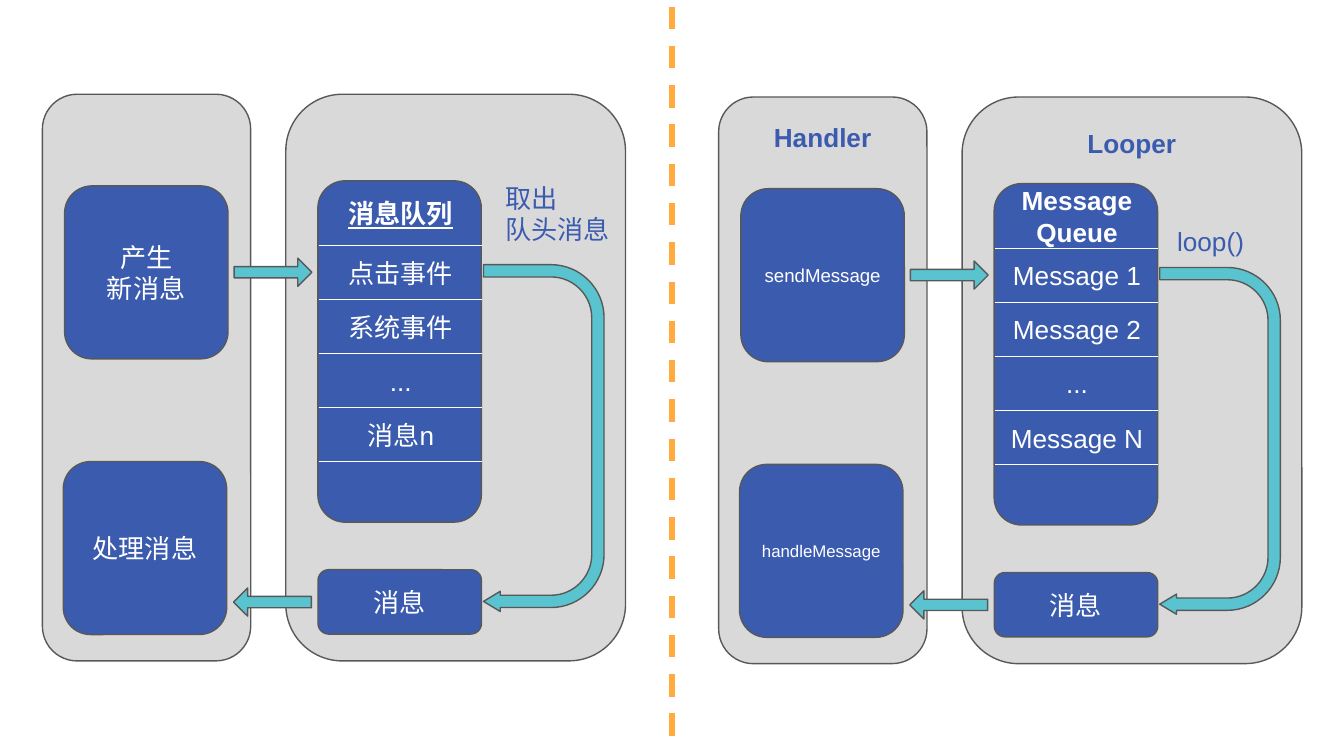
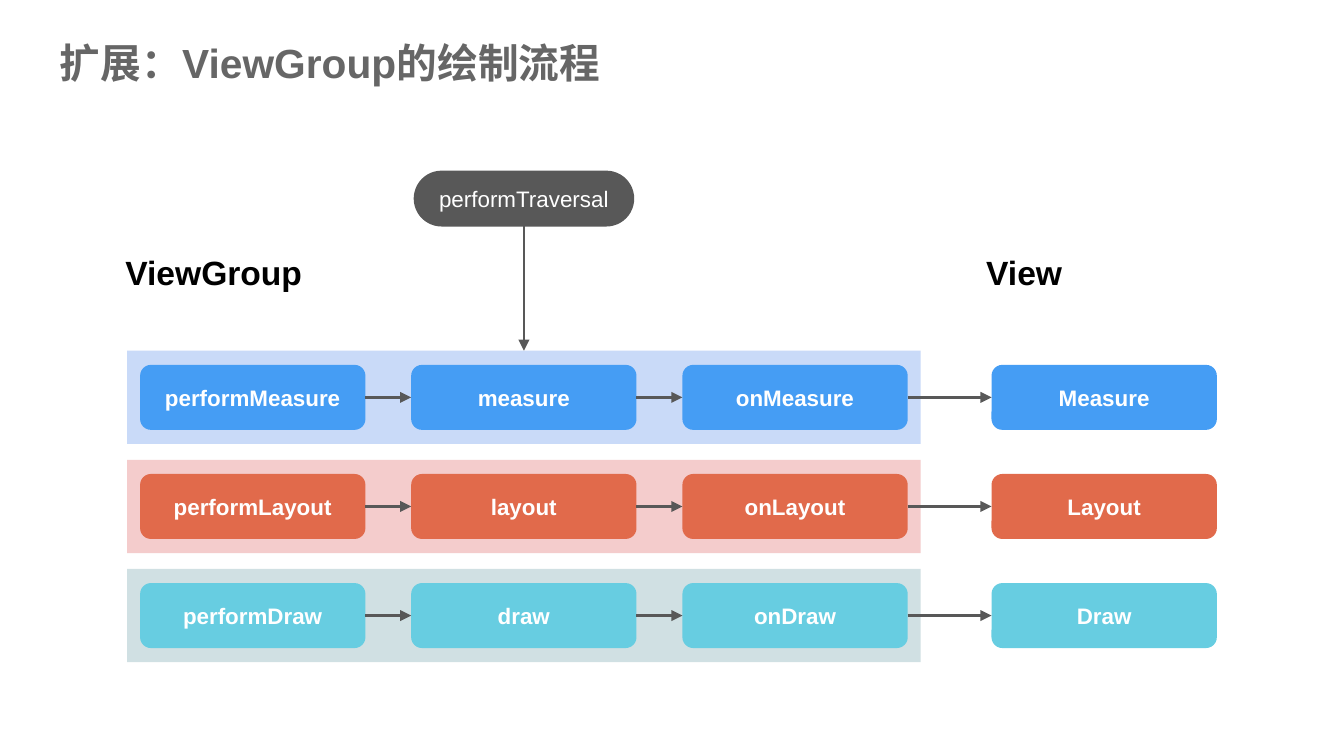
from typing import NamedTuple, Optional

import pptx
import pptx.dml.color
import pptx.enum.dml
import pptx.enum.shapes
import pptx.enum.text
import pptx.oxml
import pptx.oxml.ns
import pptx.util

Pt = pptx.util.Pt
qn = pptx.oxml.ns.qn
Shape = pptx.enum.shapes.MSO_SHAPE
Anchor = pptx.enum.text.MSO_ANCHOR
Align = pptx.enum.text.PP_ALIGN

# Shared look
FONT = "Arial"
WHITE, BLACK, DARK = "FFFFFF", "000000", "585858"
BLUE, LANE_GRAY, TEAL, ORANGE = "3A5BAE", "D9D9D9", "59C4D0", "FFAB40"
TITLE_GRAY = "666666"
THIN = 0.75
INSET = 7.2


class Box(NamedTuple):
    x: float
    y: float
    w: float
    h: float

    def move(self, dx: float, dy: float) -> "Box":
        return Box(self.x + dx, self.y + dy, self.w, self.h)


class Style(NamedTuple):
    size: float = 14
    color: str = WHITE
    bold: bool = False
    underline: bool = False
    align: Align = Align.CENTER


class Panel(NamedTuple):
    dx: float
    dy: float
    lane_titles: tuple[str, ...]
    producer: str
    producer_size: float
    consumer: str
    consumer_size: float
    queue_title: str
    queue_title_style: Style
    rows: tuple[str, ...]
    loop_label: str
    loop_box: Box


class Stage(NamedTuple):
    color: str
    band_color: str
    steps: tuple[str, ...]


def rgb(value: str) -> pptx.dml.color.RGBColor:
    return pptx.dml.color.RGBColor.from_string(value)


def write(sp, text: str, style: Style, anchor: Anchor, inset: float) -> None:
    tf = sp.text_frame
    tf.word_wrap = True
    tf.vertical_anchor = anchor
    tf.margin_left = tf.margin_right = tf.margin_top = tf.margin_bottom = Pt(inset)
    for i, line in enumerate(text.split("\n")):
        p = tf.paragraphs[0] if i == 0 else tf.add_paragraph()
        p.alignment = style.align
        r = p.add_run()
        r.text = line
        r.font.name = FONT
        r.font.size = Pt(style.size)
        r.font.bold = style.bold
        r.font.underline = style.underline
        r.font.color.rgb = rgb(style.color)


def add_text(s, box: Box, text: str, style: Style,
             anchor: Anchor = Anchor.TOP, inset: float = INSET) -> None:
    write(s.shapes.add_textbox(*map(Pt, box)), text, style, anchor, inset)


def paint(sp, fill: str, line: Optional[str]) -> None:
    sp.shadow.inherit = False
    sp.fill.solid()
    sp.fill.fore_color.rgb = rgb(fill)
    if line:
        sp.line.color.rgb = rgb(line)
        sp.line.width = Pt(THIN)
    else:
        sp.line.fill.background()


def add_box(s, kind: Shape, box: Box, fill: str, line: Optional[str] = None,
            text: str = "", style: Style = Style()):
    sp = s.shapes.add_shape(kind, *map(Pt, box))
    paint(sp, fill, line)
    if text:
        write(sp, text, style, Anchor.MIDDLE, 0)
    return sp


def add_line(s, x1: float, y1: float, x2: float, y2: float, color: str, width: float):
    line = s.shapes.add_connector(
        pptx.enum.shapes.MSO_CONNECTOR.STRAIGHT, Pt(x1), Pt(y1), Pt(x2), Pt(y2))
    line.line.color.rgb = rgb(color)
    line.line.width = Pt(width)
    line._element.spPr.append(pptx.oxml.parse_xml(
        f'<a:effectLst {pptx.oxml.ns.nsdecls("a")}/>'))
    return line


def add_link(s, start, start_site: int, end, end_site: int) -> None:
    """Arrow glued to two shapes; sites: 0 top, 1 left, 2 bottom, 3 right."""
    link = add_line(s, 0, 0, 0, 0, DARK, 1.5)
    link.begin_connect(start, start_site)
    link.end_connect(end, end_site)
    link.line._get_or_add_ln().append(pptx.oxml.parse_xml(
        f'<a:tailEnd {pptx.oxml.ns.nsdecls("a")} type="triangle"/>'))


def corner(x1: float, y1: float, cx: float, cy: float, x2: float, y2: float) -> list:
    """Start, two Bezier controls and end of a quarter turn around (cx, cy)."""
    k = 0.55
    return [(x1, y1), (x1 + k * (cx - x1), y1 + k * (cy - y1)),
            (x2 + k * (cx - x2), y2 + k * (cy - y2)), (x2, y2)]


def add_loop_arrow(s, dx: float, dy: float) -> None:
    left, head, bend = 259, 268, 295.2
    top, bottom = 170.2, 297.1
    outer, inner = 28.4, 21.8
    mid = bottom + (outer + inner) / 2
    x_out, x_in = bend + outer, bend + inner
    y1_out, y1_in = top - outer, top - inner
    y2_out, y2_in = bottom + outer, bottom + inner
    points = [
        (left, y1_out),
        *corner(bend, y1_out, x_out, y1_out, x_out, top),
        *corner(x_out, bottom, x_out, y2_out, bend, y2_out),
        (head, y2_out), (head, mid + 5.4), (left, mid), (head, mid - 5.4), (head, y2_in),
        *corner(bend, y2_in, x_in, y2_in, x_in, bottom),
        *corner(x_in, top, x_in, y1_in, bend, y1_in),
        (left, y1_in),
    ]
    points = [(Pt(x + dx), Pt(y + dy)) for x, y in points]
    fb = s.shapes.build_freeform(*points[0])
    fb.add_line_segments(points[1:], close=True)
    sp = fb.convert_to_shape()

    # Join the two controls and the end of each corner into one curve
    nodes = list(sp._element.spPr.find(".//" + qn("a:path")))
    for first in (2, 6, 15, 19):
        curve = pptx.oxml.parse_xml(f'<a:cubicBezTo {pptx.oxml.ns.nsdecls("a")}/>')
        nodes[first].addprevious(curve)
        for node in nodes[first:first + 3]:
            curve.append(node[0])
            node.getparent().remove(node)
    paint(sp, TEAL, DARK)


# Message loop slide: the same diagram twice, in general terms and by class
LANES = (Box(22.7, 50.5, 111.6, 303.6), Box(153.1, 50.5, 182, 303.6))
LANE_TITLES = (Box(27.9, 56.1, 101, 30.2), Box(161.9, 59.7, 164.2, 30.2))
QUEUE = Box(170.3, 96.9, 87.6, 182.9)
PRODUCER = Box(34.6, 99.6, 87.6, 92.7)
CONSUMER = Box(33.9, 247.3, 87.6, 92.7)
MESSAGE = Box(170.4, 305.2, 87.6, 34.5)
ARROWS = ((Box(125.4, 138.3, 41.7, 15.1), 0), (Box(125.1, 315, 41.7, 15.1), 180))
FIRST_RULE, ROW_H = 131.6, 28.95

PANELS = (
    Panel(0, 0, (), "产生\n新消息", 14, "处理消息", 14,
          "消息队列", Style(bold=True, underline=True),
          ("点击事件", "系统事件", "...", "消息n"),
          "取出\n队头消息", Box(263.5, 87.1, 71.3, 54.7)),
    Panel(362.3, 1.5, ("Handler", "Looper"), "sendMessage", 10, "handleMessage", 9,
          "Message\nQueue", Style(bold=True),
          ("Message 1", "Message 2", "...", "Message N"),
          "loop()", Box(261.2, 112.3, 71.3, 30.2)),
)


def draw_panel(s, panel: Panel) -> None:
    def at(box: Box) -> Box:
        return box.move(panel.dx, panel.dy)

    def block(box: Box, fill: str, text: str = "", size: float = 14) -> None:
        add_box(s, Shape.ROUNDED_RECTANGLE, at(box), fill, DARK, text, Style(size))

    # Lanes and their headings
    for lane in LANES:
        block(lane, LANE_GRAY)
    for box, title in zip(LANE_TITLES, panel.lane_titles):
        add_text(s, at(box), title, Style(color=BLUE, bold=True))

    # Queue with ruled rows
    block(QUEUE, BLUE)
    for i in range(len(panel.rows) + 1):
        rule = at(Box(QUEUE.x + 0.4, FIRST_RULE + i * ROW_H, QUEUE.w, 0))
        add_line(s, rule.x, rule.y, rule.x + rule.w, rule.y, WHITE, THIN)
    header = Box(QUEUE.x + 0.6, QUEUE.y, QUEUE.w, FIRST_RULE - QUEUE.y)
    add_text(s, at(header), panel.queue_title, panel.queue_title_style, Anchor.MIDDLE, 0)
    for i, row in enumerate(panel.rows):
        cell = Box(QUEUE.x + 0.6, FIRST_RULE + i * ROW_H, QUEUE.w, ROW_H)
        add_text(s, at(cell), row, Style(), Anchor.MIDDLE, 0)

    # Endpoints and the flow between them
    block(MESSAGE, BLUE, "消息")
    block(PRODUCER, BLUE, panel.producer, panel.producer_size)
    block(CONSUMER, BLUE, panel.consumer, panel.consumer_size)
    for box, rotation in ARROWS:
        sp = add_box(s, Shape.RIGHT_ARROW, at(box), TEAL, DARK)
        sp.adjustments[0] = 0.4
        sp.rotation = rotation
    add_loop_arrow(s, panel.dx, panel.dy)
    add_text(s, at(panel.loop_box), panel.loop_label,
             Style(color=BLUE, align=Align.LEFT), Anchor.MIDDLE)


def message_loop_slide(s) -> None:
    for panel in PANELS:
        draw_panel(s, panel)
    divider = add_line(s, 360, 3.6, 360, 401, ORANGE, 3)
    divider.line.dash_style = pptx.enum.dml.MSO_LINE.DASH


# Drawing stages slide
STAGES = (
    Stage("459DF4", "C9DAF8", ("performMeasure", "measure", "onMeasure", "Measure")),
    Stage("E16A4B", "F4CCCC", ("performLayout", "layout", "onLayout", "Layout")),
    Stage("67CDE1", "D0E0E3", ("performDraw", "draw", "onDraw", "Draw")),
)
STEP_XS = (75.1, 220.3, 365.6, 531.2)
BAND = Box(68.1, 187.9, 425.2, 50)
STAGE_PITCH = 58.45


def drawing_stages_slide(s) -> None:
    add_text(s, Box(25, 13, 671, 45.4), "扩展：ViewGroup的绘制流程",
             Style(21.8, TITLE_GRAY, bold=True, align=Align.LEFT))
    heading = Style(18, BLACK, bold=True, align=Align.LEFT)
    add_text(s, Box(60.1, 127.7, 326.9, 34.6), "ViewGroup", heading)
    add_text(s, Box(521.2, 127.7, 131, 34.6), "View", heading)

    # One band per stage, its last step outside the band
    bands = []
    for i, stage in enumerate(STAGES):
        band = BAND.move(0, i * STAGE_PITCH)
        bands.append(add_box(s, Shape.RECTANGLE, band, stage.band_color))
        steps = [
            add_box(s, Shape.ROUNDED_RECTANGLE, Box(x, band.y + 7.6, 120.7, 34.8),
                    stage.color, None, name, Style(12, bold=True))
            for x, name in zip(STEP_XS, stage.steps)
        ]
        for a, b in zip(steps, steps[1:]):
            add_link(s, a, 3, b, 1)

    # Entry point
    entry = add_box(s, Shape.ROUNDED_RECTANGLE, Box(222, 91.8, 117.4, 29.2),
                    DARK, DARK, "performTraversal", Style(12))
    entry.adjustments[0] = 0.5
    add_link(s, entry, 2, bands[0], 0)


def main() -> None:
    prs = pptx.Presentation()
    prs.slide_width, prs.slide_height = Pt(720), Pt(405)
    for draw in (message_loop_slide, drawing_stages_slide):
        draw(prs.slides.add_slide(prs.slide_layouts[6]))
    prs.save("out.pptx")


if __name__ == "__main__":
    main()
